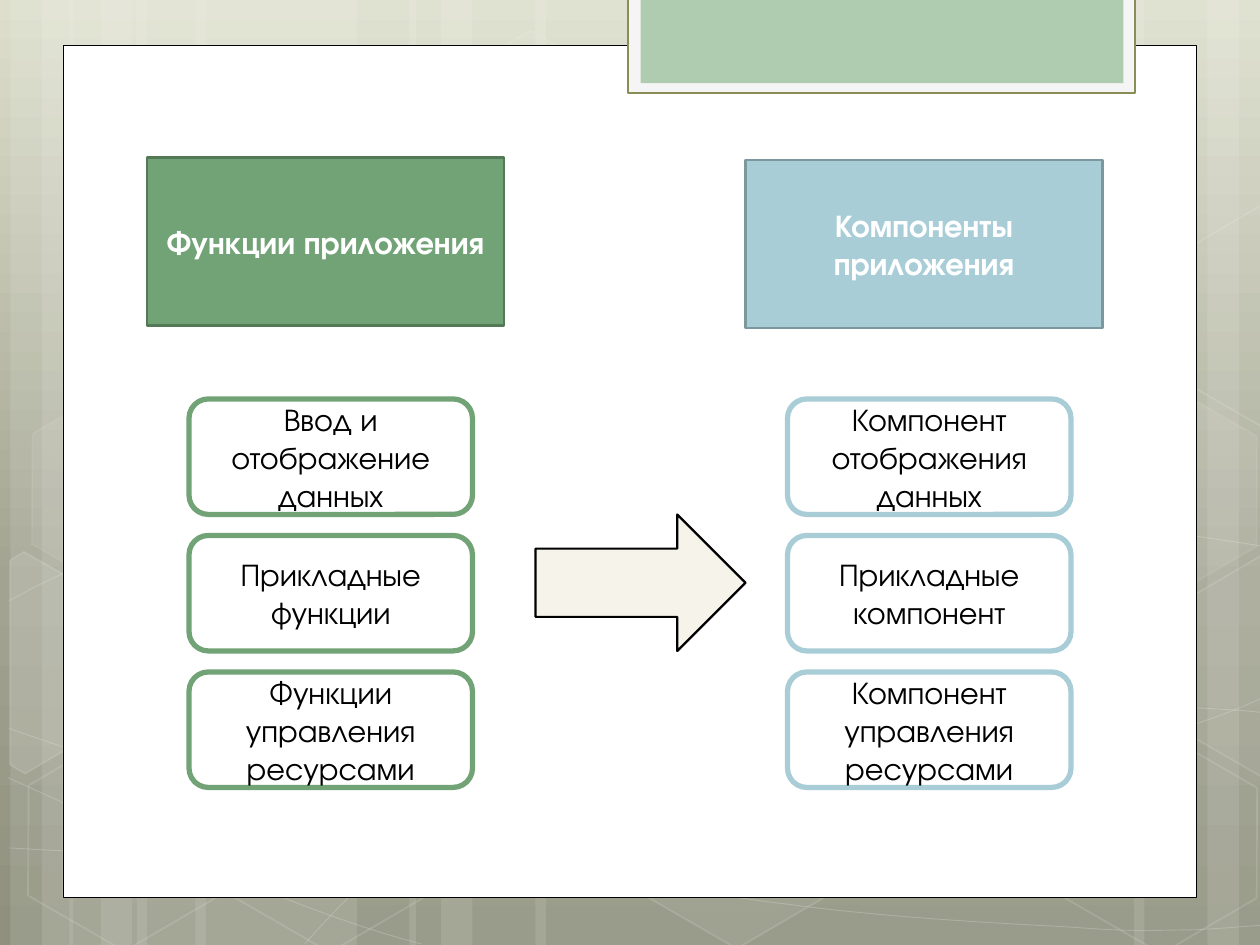
from copy import deepcopy

from lxml import etree
from pptx import Presentation
from pptx import util as u
from pptx.dml.color import RGBColor
from pptx.enum import shapes, text
from pptx.oxml.ns import qn

COLUMNS, ROWS = 120, 90
WHITE, BLACK, GREEN, BLUE = "FFFFFF", "000000", "72A376", "A8CDD7"
KIND = shapes.MSO_SHAPE


def colour(value):
    """Turn a hex string into a colour."""
    return RGBColor.from_string(value)


def fade(fill, parent, value, alpha):
    """Give a fill one colour, with an opacity in percent."""
    fill.solid()
    fill.fore_color.rgb = colour(value)
    if alpha < 100:
        tone = parent.find(qn("a:solidFill")).find(qn("a:srgbClr"))
        etree.SubElement(tone, qn("a:alpha")).set("val", str(alpha * 1000))


def bend(shape):
    """Turn each three straight segments of an outline into one curve."""
    lines = list(shape.element.iter(qn("a:lnTo")))
    for first in range(0, len(lines), 3):
        curve = etree.Element(qn("a:cubicBezTo"))
        lines[first].addprevious(curve)
        for line in lines[first:first + 3]:
            curve.append(line[0])
            line.getparent().remove(line)


class Painter:
    """Hold the deck, its current page and the text style."""

    font, size = "TeX Gyre Adventor", 18

    def __init__(self):
        """Start a deck with one blank page."""
        self.deck = Presentation()
        self.deck.slide_width, self.deck.slide_height = u.Inches(10), u.Inches(7.5)
        self.page = self.deck.slides.add_slide(self.deck.slide_layouts[6])
        self.column = self.deck.slide_width / COLUMNS
        self.row = self.deck.slide_height / ROWS

    def background(self, stops):
        """Fill the page with a gradient from top to bottom."""
        fill = self.page.background.fill
        fill.gradient()
        fill.gradient_angle = 270
        stop_list = self.page.element.find(".//" + qn("a:gsLst"))
        while len(stop_list) < len(stops):
            stop_list.append(deepcopy(stop_list[0]))
        for stop, (position, value) in zip(fill.gradient_stops, stops):
            stop.position = position
            stop.color.rgb = colour(value)

    def finish(self, shape, fill, line, width, fill_alpha=100, line_alpha=100):
        """Set fill and outline, and drop the shadow."""
        shape.shadow.inherit = False
        properties = shape.element.spPr
        if fill:
            fade(shape.fill, properties, fill, fill_alpha)
        else:
            shape.fill.background()
        if line:
            shape.line.width = u.Pt(width)
            fade(shape.line.fill, properties.find(qn("a:ln")), line, line_alpha)
        else:
            shape.line.fill.background()
        return shape

    def shape(self, kind, left, top, width, height, fill, line=None, weight=1.25, **alphas):
        """Add a preset shape, placed on the grid."""
        box = self.page.shapes.add_shape(
            kind, round(left * self.column), round(top * self.row),
            round(width * self.column), round(height * self.row))
        return self.finish(box, fill, line, weight, **alphas)

    def outline(self, points, fill=None, weight=0.5, closed=False, **alphas):
        """Add a white outline through points given in inches."""
        start, *rest = [(u.Inches(x), u.Inches(y)) for x, y in points]
        builder = self.page.shapes.build_freeform(*start)
        builder.add_line_segments(rest, close=closed)
        return self.finish(builder.convert_to_shape(), fill, WHITE, weight, **alphas)

    def hexagon(self, left, top, fill_alpha, line_alpha):
        """Add a faint hexagon that stands on its corner."""
        box = self.shape(KIND.HEXAGON, left, top, 21, 18.24, WHITE if fill_alpha else None,
                         WHITE, 1, fill_alpha=fill_alpha, line_alpha=line_alpha)
        box.adjustments[0], box.adjustments[1] = 0.285, 1.155
        box.rotation = 30

    def label(self, box, words, value, bold=False):
        """Write centred text into a box."""
        frame = box.text_frame
        frame.word_wrap = True
        frame.vertical_anchor = text.MSO_ANCHOR.MIDDLE
        para = frame.paragraphs[0]
        para.alignment = text.PP_ALIGN.CENTER
        span = para.add_run()
        span.text = words
        span.font.name, span.font.size = self.font, u.Pt(self.size)
        span.font.bold, span.font.color.rgb = bold, colour(value)


BANDS = [(13, 21), (1, 6), (4, 10), (18.6, 21), (6.6, 6), (9.6, 10), (88, 21),
         (115, 6), (108, 10), (51, 37), (39, 6), (42, 10)]
CURVES = [
    [(0.07, 6.73), (0.61, 6.76), (1.15, 6.79), (1.9, 6.78), (2.65, 6.77), (3.58, 6.75),
     (4.58, 6.65), (5.58, 6.55), (7, 6.36), (7.92, 6.17), (8.83, 5.98), (9.77, 5.68),
     (10.07, 5.51)],
    [(0.07, 4.77), (0.36, 4.61), (0.65, 4.46), (1.21, 4.31), (1.78, 4.16), (2.59, 3.94),
     (3.47, 3.87), (4.36, 3.8), (5.44, 3.79), (6.54, 3.87), (7.64, 3.95), (9.47, 4.26),
     (10.07, 4.34)],
    [(0.06, 6.17), (1.27, 6.72), (2.47, 7.27), (3.34, 7.49)],
    [(0.07, 5.78), (0.38, 5.89), (0.7, 6), (1.28, 6.16), (1.86, 6.31), (2.73, 6.56),
     (3.57, 6.73), (4.4, 6.9), (5.45, 7.08), (6.28, 7.18), (7.11, 7.29), (8, 7.33),
     (8.53, 7.36), (9.05, 7.4), (9.19, 7.38), (9.45, 7.38), (9.71, 7.37), (9.89, 7.35),
     (10.07, 7.34)],
    [(2.42, 7.49), (2.6, 7.29), (2.78, 7.09), (3.02, 6.91), (3.26, 6.73), (3.6, 6.53),
     (3.88, 6.39), (4.16, 6.25), (4.33, 6.19), (4.7, 6.09), (5.06, 5.99), (5.73, 5.85),
     (6.08, 5.78), (6.44, 5.71), (6.49, 5.71), (6.8, 5.69), (7.11, 5.66), (7.6, 5.63),
     (7.94, 5.62), (8.29, 5.61), (8.86, 5.62), (8.86, 5.62), (9.08, 5.62), (9.31, 5.62),
     (9.53, 5.62), (9.71, 5.63), (9.88, 5.64), (9.97, 5.65), (10.06, 5.66), (10.03, 5.65),
     (10.06, 5.66)],
]
HEXAGONS = [(40.08, 4.32, 4, 8), (59.64, 70.68, 6, 12), (1.32, 70.92, 0, 12),
            (1.68, 37.44, 7, 8), (20.88, 71.04, 0, 12), (100.08, 71.16, 0, 12),
            (100.08, 37.68, 7, 8)]
LEFT_CUT = [(0.08, 4.45), (0.19, 4.38), (0.96, 4.82), (0.95, 5.7), (0.2, 6.14), (0.08, 6.07)]
RIGHT_CUT = [(9.26, 4.85), (10.01, 4.41), (10.09, 4.46), (10.09, 6.13), (10.02, 6.17), (9.26, 5.73)]
UPPER_CUT = [(x, y - 2.78) for x, y in RIGHT_CUT]
LISTS = [
    (14, 15, GREEN, "547957", "Функции приложения",
     ["Ввод и отображение данных", "Прикладные функции", "Функции управления ресурсами"]),
    (71, 15.25, BLUE, "7C989F", "Компоненты приложения",
     ["Компонент отображения данных", "Прикладные компонент", "Компонент управления ресурсами"]),
]


def main():
    """Build the slide and save it."""
    painter = Painter()
    painter.background([(0, "DDDFCC"), (0.62, "A2A391"), (1, "8F917E")])
    for left, width in BANDS:
        painter.shape(KIND.RECTANGLE, left, 0, width, ROWS, WHITE, fill_alpha=10)
    for points in CURVES:
        bend(painter.outline(points, line_alpha=20))
    for hexagon in HEXAGONS:
        painter.hexagon(*hexagon)
    for points, alpha in ((LEFT_CUT, 10), (RIGHT_CUT, 4), (UPPER_CUT, 0)):
        painter.outline(points, WHITE if alpha else None, 1, True, fill_alpha=alpha, line_alpha=12)

    painter.shape(KIND.RECTANGLE, 6, 4.32, 108, 81.2, WHITE, BLACK, 0.5)
    painter.shape(KIND.RECTANGLE, 59.82, -0.24, 48.3, 9.12, "F5F5F5", "8A8E56")
    painter.shape(KIND.RECTANGLE, 61, -0.24, 46, 8.16, "B0CCB0")

    for left, top, fill, edge, heading, items in LISTS:
        box = painter.shape(KIND.RECTANGLE, left, top, 34, 16, fill, edge)
        painter.label(box, heading, WHITE, bold=True)
        for index, item in enumerate(items):
            box = painter.shape(KIND.ROUNDED_RECTANGLE, left + 4, 38 + 13 * index, 27, 11,
                                WHITE, fill, 3)
            painter.label(box, item, BLACK)
    painter.shape(KIND.RIGHT_ARROW, 51, 49, 20, 13, "F5F3EA", BLACK)
    painter.deck.save("out.pptx")


main()
